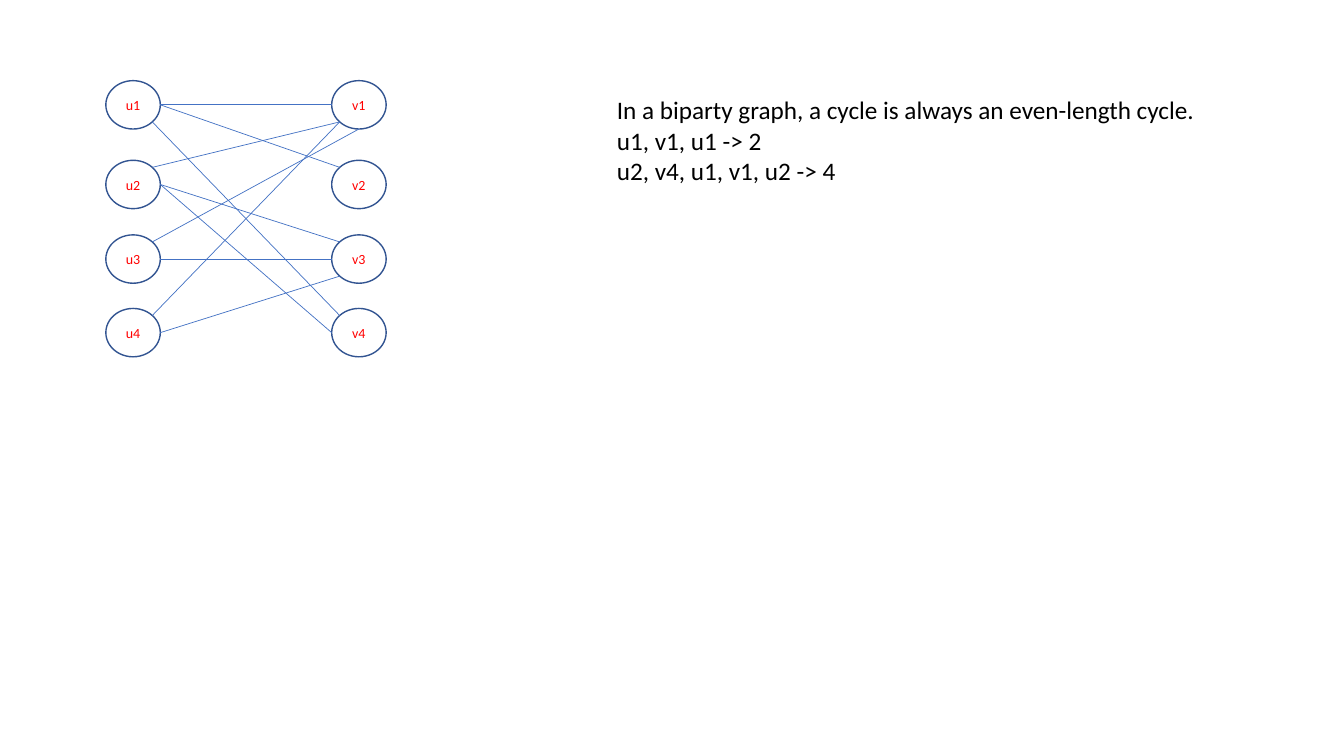
from math import sqrt

from lxml import etree
from pptx import Presentation
from pptx.dml.color import RGBColor
from pptx.enum.shapes import MSO_CONNECTOR, MSO_SHAPE
from pptx.enum.text import MSO_ANCHOR, MSO_AUTO_SIZE, PP_ALIGN
from pptx.oxml.ns import qn
from pptx.util import Inches, Pt

COLORS = {"node": "FFFFFF", "outline": "325491", "label": "FF0000",
          "edge": "4472C4", "text": "000000"}
FONT = "Calibri"

COLUMNS = {"u": 1.05, "v": 3.29}
ROW_TOPS = [0.8, 1.59, 2.33, 3.06]
NODE_W, NODE_H = 0.54, 0.48

# Each edge: u node, side it leaves from, v node, side it reaches
EDGES = [
    ("u1", "right", "v1", "left"),
    ("u1", "right", "v2", "top left"),
    ("u1", "bottom right", "v4", "top left"),
    ("u2", "top right", "v1", "bottom left"),
    ("u2", "right", "v3", "top left"),
    ("u2", "right", "v4", "left"),
    ("u3", "top right", "v1", "bottom"),
    ("u3", "right", "v3", "left"),
    ("u4", "top right", "v1", "bottom left"),
    ("u4", "right", "v3", "bottom left"),
]
NOTES = [
    "In a biparty graph, a cycle is always an even-length cycle.",
    "u1, v1, u1 -> 2",
    "u2, v4, u1, v1, u2 -> 4",
]
DIRECTIONS = {"left": (-1, 0), "right": (1, 0), "top": (0, -1), "bottom": (0, 1)}


def color(name):
    """Return the named colour."""
    return RGBColor.from_string(COLORS[name])


def write(paragraph, text, size, color_name):
    """Put one formatted run into a paragraph."""
    run = paragraph.add_run()
    run.text = text
    run.font.name = FONT
    run.font.size = Pt(size)
    run.font.color.rgb = color(color_name)


def add_node(slide, label, left, top):
    """Draw one labelled vertex."""
    node = slide.shapes.add_shape(MSO_SHAPE.OVAL, Inches(left), Inches(top),
                                  Inches(NODE_W), Inches(NODE_H))
    node.shadow.inherit = False
    node.fill.solid()
    node.fill.fore_color.rgb = color("node")
    node.line.color.rgb = color("outline")
    node.line.width = Pt(1)
    frame = node.text_frame
    frame.margin_left = frame.margin_right = 0
    frame.margin_top = frame.margin_bottom = 0
    frame.vertical_anchor = MSO_ANCHOR.MIDDLE
    frame.paragraphs[0].alignment = PP_ALIGN.CENTER
    write(frame.paragraphs[0], label, 10, "label")


def rim_point(corner, side):
    """Find the point on a vertex's rim that faces the given side."""
    steps = [DIRECTIONS[word] for word in side.split()]
    dx, dy = (sum(axis) / sqrt(len(steps)) for axis in zip(*steps))
    left, top = corner
    return (Inches(left + NODE_W / 2 * (1 + dx)),
            Inches(top + NODE_H / 2 * (1 + dy)))


def add_edge(slide, start, end):
    """Draw one thin straight edge."""
    edge = slide.shapes.add_connector(MSO_CONNECTOR.STRAIGHT, *start, *end)
    edge.line.color.rgb = color("edge")
    edge.line.width = Pt(0.5)
    etree.SubElement(edge.element.spPr, qn("a:effectLst"))


def add_notes_text(slide):
    """Write the explanation beside the graph."""
    box = slide.shapes.add_textbox(Inches(6.02), Inches(0.89),
                                   Inches(6.19), Inches(1.01))
    frame = box.text_frame
    frame.word_wrap = True
    frame.auto_size = MSO_AUTO_SIZE.SHAPE_TO_FIT_TEXT
    for i, line in enumerate(NOTES):
        paragraph = frame.add_paragraph() if i else frame.paragraphs[0]
        write(paragraph, line, 18, "text")


prs = Presentation()
prs.slide_width, prs.slide_height = Inches(13.33), Inches(7.5)
slide = prs.slides.add_slide(prs.slide_layouts[6])

corners = {f"{side}{row}": (left, top)
           for side, left in COLUMNS.items()
           for row, top in enumerate(ROW_TOPS, 1)}
for label, corner in corners.items():
    add_node(slide, label, *corner)
for u, u_side, v, v_side in EDGES:
    add_edge(slide, rim_point(corners[u], u_side), rim_point(corners[v], v_side))
add_notes_text(slide)

prs.save("out.pptx")
